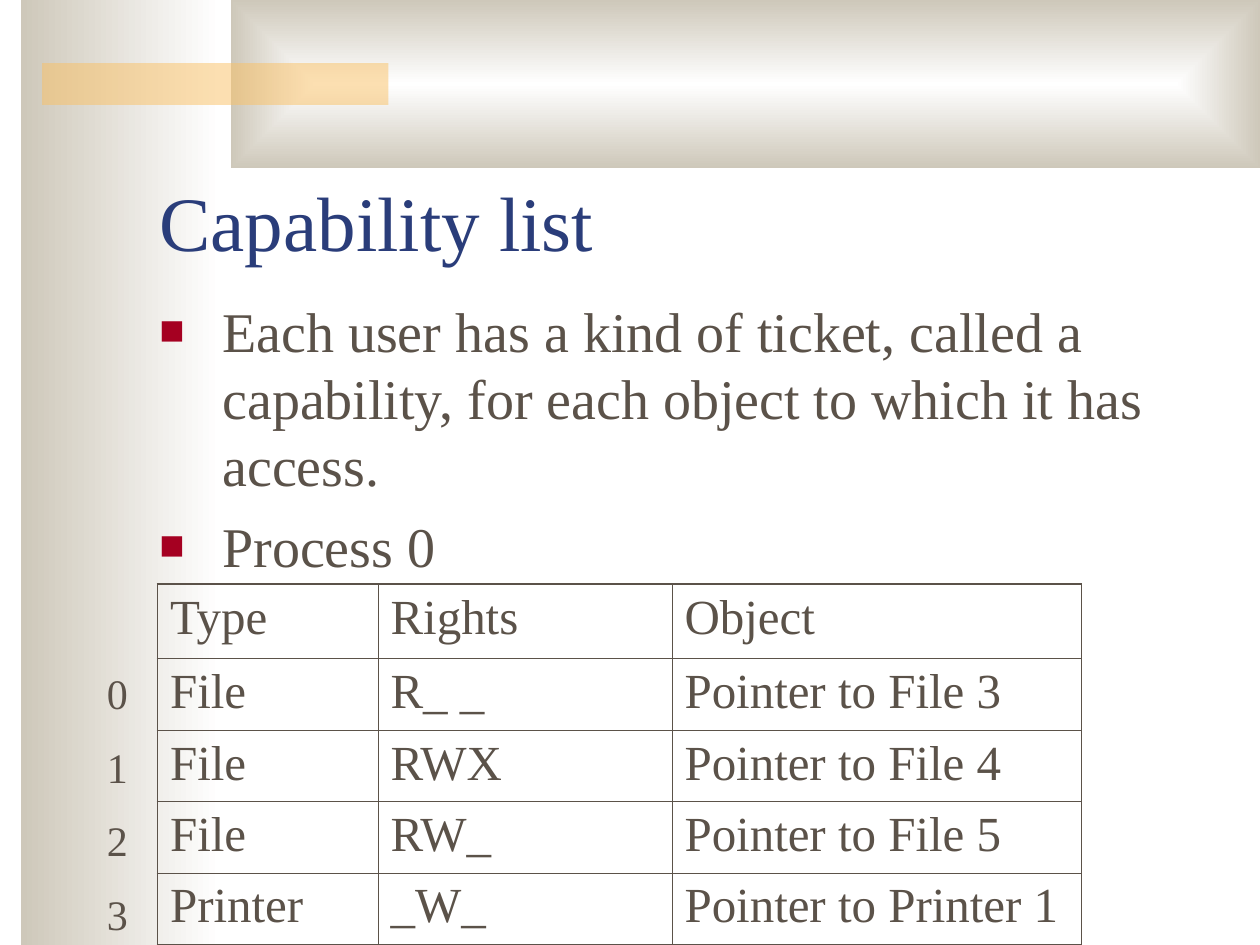
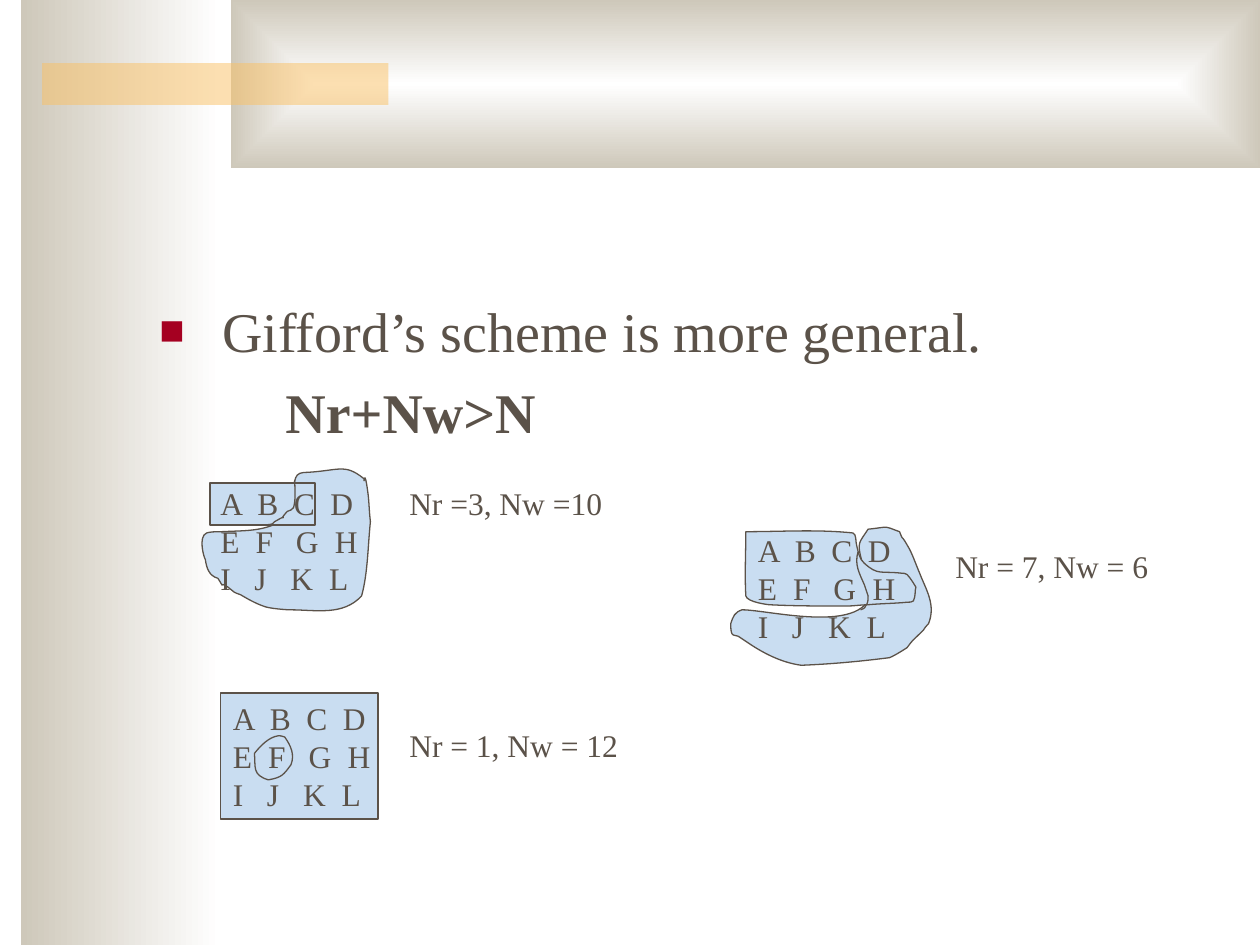
"""Build two slides on capability lists and on Gifford's voting scheme."""
from typing import NamedTuple

from lxml.etree import SubElement as sub
from pptx import Presentation
from pptx.dml.color import RGBColor
from pptx.enum.shapes import MSO_SHAPE as Preset
from pptx.enum.text import MSO_ANCHOR as Anchor, MSO_AUTO_SIZE as AutoSize, PP_ALIGN as Align
from pptx.oxml.ns import qn
from pptx.util import Pt

PX = 3048
OUTLINE_STEP = 3 * PX
FONT = "Times New Roman"
COLORS = {
    "white": "FFFFFF",
    "sand": "CEC8BA",
    "amber": "FAC164",
    "title": "2A3D7A",
    "text": "5B5249",
    "bullet": "A50021",
    "quorum": "C9DDF1",
}


class Area(NamedTuple):
    left: int
    top: int
    width: int
    height: int

    def emu(self) -> list[int]:
        return [value * PX for value in self]


class Para(NamedTuple):
    text: str
    size: int = 18
    bold: bool = False
    bullet: bool = False
    indent: int = 0
    before: int = 0
    tabs: tuple[int, ...] = ()


class Label(NamedTuple):
    area: Area
    paras: tuple[Para, ...]


class Outline(NamedTuple):
    numbers: str
    closed: bool = True
    fill: str | None = None


BODY = Area(350, 691, 2550, 1350)
TITLE = Area(350, 275, 2550, 375)
TABLE = Area(375, 1391, 2200, 857)
COLUMN_WIDTHS = (525, 700, 975)
ROW_HEIGHTS = (177, 170, 170, 170, 170)
CAPABILITIES = (
    ("Type", "Rights", "Object"),
    ("File", "R_ _", "Pointer to File 3"),
    ("File", "RWX", "Pointer to File 4"),
    ("File", "RW_", "Pointer to File 5"),
    ("Printer", "_W_", "Pointer to Printer 1"),
)
CAPABILITY_BODY = (
    Para("Each user has a kind of ticket, called a capability, for each object "
         "to which it has access.", 32, bullet=True),
    Para("Process 0", 32, bullet=True, before=8),
)
SCHEME_BODY = (
    Para("Gifford’s scheme is more general.", 32, bullet=True),
    Para("Nr+Nw>N", 32, bold=True, indent=300, before=8),
)
SERVERS = (
    Para("A\tB\tC\tD", tabs=(88, 175, 262)),
    Para("E\tF\tG\tH", tabs=(84, 180, 273)),
    Para("I\tJ\tK\tL", tabs=(81, 167, 259)),
)
SERVER_GRIDS = [Label(Area(left, top, 387, 300), SERVERS)
                for left, top in ((495, 1137), (525, 1650), (1775, 1250))]
QUORUM_SIZES = [
    Label(Area(945, 1137, 519, 120), (Para("Nr =3, Nw =10"),)),
    Label(Area(2245, 1287, 519, 120), (Para("Nr = 7, Nw = 6"),)),
    Label(Area(945, 1713, 555, 120), (Para("Nr = 1, Nw = 12"),)),
]
ALL_WRITE = Area(525, 1650, 375, 300)
THREE_READ = Area(500, 1150, 250, 100)
SIX_WRITE = Outline(
    "714 422 700 417 708 418 689 420 682 431 680 430 684 445 685 449 691 455 691 455 "
    "704 509 613 484 589 484 583 486 582 489 580 495 580 498 580 501 581 503 "
    "582 505 585 504 586 505 589 507 592 509 595 511 607 519 621 526 636 528 "
    "661 527 682 525 706 522 711 520 720 514 720 514 726 506 722 511 733 500 "
    "734 498 737 495 737 495 743 480 735 468 730 455 727 448 725 442 722 436 "
    "713 420 718 432 714 422", fill="quorum")
SEVEN_READ = Outline(
    "592 422 620 422 649 420 677 423 680 424 679 430 680 433 681 437 682 444 686 447 "
    "697 457 699 453 716 455 717 455 719 455 720 456 723 459 727 466 727 466 "
    "726 469 727 473 725 477 724 478 722 478 720 478 710 479 699 479 689 480 "
    "683 480 678 481 672 481 652 481 631 481 611 480 610 480 593 478 592 473 "
    "591 456 592 439 592 422", fill="quorum")
TEN_WRITE = Outline(
    "289 380 273 367 269 374 241 375 239 376 237 375 236 377 234 379 233 386 233 386 "
    "232 393 232 401 231 408 230 414 227 412 223 414 207 422 195 421 175 422 "
    "171 422 167 422 164 423 157 426 162 443 163 444 164 451 166 457 173 459 "
    "180 470 172 460 181 466 183 467 184 469 186 470 187 471 189 471 191 472 "
    "196 475 203 479 209 481 213 483 228 484 230 484 251 484 272 489 287 473 "
    "292 455 292 433 294 414 293 406 293 398 292 391 289 368 289 387 289 380",
    fill="quorum")
OVERLAP_EDGES = (
    Outline("234 381 234 389 235 396 233 403 232 405 230 405 228 406 218 417 232 406 "
            "220 413 219 413 217 415 216 416 214 416 211 417 211 417", closed=False),
    Outline("681 438 678 448 682 455 686 464 687 467 689 473 689 473 "
            "689 476 689 479 687 481 687 483 683 484 683 484", closed=False),
    Outline("226 585 224 585 222 583 221 584 213 585 206 593 202 598 "
            "203 609 200 615 213 619 224 617 225 615 231 607 234 599 231 592 226 585"),
)


def color(name: str) -> RGBColor:
    return RGBColor.from_string(COLORS[name])


def add_rect(slide, area: Area):
    rect = slide.shapes.add_shape(Preset.RECTANGLE, *area.emu())
    rect.shadow.inherit = False
    rect.line.fill.background()
    return rect


def shade(band) -> None:
    band.fill.gradient()
    band.fill.gradient_angle = 180
    for stop, name in zip(band.fill.gradient_stops, ("white", "sand")):
        stop.color.rgb = color(name)


def add_master_bands(deck, slide) -> None:
    side = add_rect(slide, Area(50, 0, 475, 2250))
    shade(side)
    top = add_rect(slide, Area(550, 0, 2450, 400))
    shade(top)
    gradient = top.element.spPr.find(qn("a:gradFill"))
    gradient.remove(gradient.find(qn("a:lin")))
    centre = sub(gradient, qn("a:path"), {"path": "rect"})
    sub(centre, qn("a:fillToRect"), dict.fromkeys("ltrb", "50000"))
    accent = add_rect(slide, Area(100, 150, 825, 100))
    accent.fill.solid()
    accent.fill.fore_color.rgb = color("amber")
    tint = accent.element.spPr.find(qn("a:solidFill")).find(qn("a:srgbClr"))
    sub(tint, qn("a:alpha"), {"val": "50000"})
    master_tree = deck.slide_master.shapes.element
    for index, band in enumerate((side, top, accent)):
        band.element.nvSpPr.cNvPr.set("id", str(100 + index))
        master_tree.insert(2 + index, band.element)


def style_font(paragraph, size: int, name: str = "text", bold: bool = False) -> None:
    font = paragraph.font
    font.name, font.size, font.bold = FONT, Pt(size), bold
    font.color.rgb = color(name)


def fill_paragraph(paragraph, para: Para) -> None:
    paragraph.text = para.text
    paragraph.space_before = Pt(para.before)
    props = paragraph._p.get_or_add_pPr()
    if para.bullet:
        props.set("marL", str(150 * PX))
        props.set("indent", str(-150 * PX))
        tint = sub(props, qn("a:buClr"))
        sub(tint, qn("a:srgbClr"), {"val": COLORS["bullet"]})
        sub(props, qn("a:buSzPct"), {"val": "75000"})
        sub(props, qn("a:buFont"), {"typeface": FONT})
        sub(props, qn("a:buChar"), {"char": "■"})
    elif para.indent:
        props.set("marL", str(para.indent * PX))
    if para.tabs:
        stops = sub(props, qn("a:tabLst"))
        for position in para.tabs:
            sub(stops, qn("a:tab"), {"pos": str(position * PX), "algn": "l"})
    style_font(paragraph, para.size, bold=para.bold)


def add_label(slide, label: Label) -> None:
    frame = slide.shapes.add_textbox(*label.area.emu()).text_frame
    frame.word_wrap = True
    frame.margin_right = 0
    for index, para in enumerate(label.paras):
        fill_paragraph(frame.add_paragraph() if index else frame.paragraphs[0], para)


def set_title(slide, text: str) -> None:
    title = slide.shapes.title
    title.left, title.top, title.width, title.height = TITLE.emu()
    frame = title.text_frame
    frame.text = text
    frame.auto_size = AutoSize.NONE
    frame.vertical_anchor = Anchor.BOTTOM
    paragraph = frame.paragraphs[0]
    paragraph.alignment = Align.LEFT
    style_font(paragraph, 44, "title")


def set_borders(cell, outer_sides: dict[str, bool]) -> None:
    props = cell._tc.get_or_add_tcPr()
    for side, outer in outer_sides.items():
        width = Pt(1.08 if outer else 0.45)
        border = sub(props, qn(f"a:ln{side}"), {"w": str(width)})
        paint = sub(border, qn("a:solidFill"))
        sub(paint, qn("a:srgbClr"), {"val": COLORS["text"]})


def add_capability_table(slide) -> None:
    last_row, last_column = len(ROW_HEIGHTS) - 1, len(COLUMN_WIDTHS) - 1
    table = slide.shapes.add_table(last_row + 1, last_column + 1, *TABLE.emu()).table
    table.first_row = table.horz_banding = False
    for column, width in zip(table.columns, COLUMN_WIDTHS):
        column.width = width * PX
    for row, height in zip(table.rows, ROW_HEIGHTS):
        row.height = height * PX
    for r, texts in enumerate(CAPABILITIES):
        for c, text in enumerate(texts):
            cell = table.cell(r, c)
            set_borders(cell, {"L": c == 0, "R": c == last_column,
                               "T": r == 0, "B": r == last_row})
            cell.fill.background()
            fill_paragraph(cell.text_frame.paragraphs[0], Para(text, 28))


def paint_region(shape, fill: str | None) -> None:
    shape.shadow.inherit = False
    if fill:
        shape.fill.solid()
        shape.fill.fore_color.rgb = color(fill)
    else:
        shape.fill.background()
    shape.line.color.rgb = color("text")
    shape.line.width = Pt(0.75)


def curve_segments(shape) -> None:
    segments = list(shape.element.iter(qn("a:lnTo")))
    for first in range(0, len(segments), 3):
        curve = segments[first].makeelement(qn("a:cubicBezTo"))
        segments[first].addprevious(curve)
        for segment in segments[first:first + 3]:
            curve.append(segment[0])
            segment.getparent().remove(segment)


def add_outline(slide, outline: Outline) -> None:
    values = [int(number) * OUTLINE_STEP for number in outline.numbers.split()]
    start, *points = zip(values[::2], values[1::2])
    builder = slide.shapes.build_freeform(*start)
    builder.add_line_segments(points, close=outline.closed)
    shape = builder.convert_to_shape()
    curve_segments(shape)
    paint_region(shape, outline.fill)


def build_capability_slide(slide) -> None:
    set_title(slide, "Capability list")
    add_label(slide, Label(BODY, CAPABILITY_BODY))
    add_capability_table(slide)
    for index in range(4):
        area = Area(225, 1575 + 175 * index, 108, 150)
        add_label(slide, Label(area, (Para(str(index), 24),)))


def build_scheme_slide(slide) -> None:
    paint_region(add_rect(slide, ALL_WRITE), "quorum")
    for outline in (SIX_WRITE, SEVEN_READ, TEN_WRITE):
        add_outline(slide, outline)
    paint_region(add_rect(slide, THREE_READ), "quorum")
    for label in (Label(BODY, SCHEME_BODY), *SERVER_GRIDS):
        add_label(slide, label)
    for outline in OVERLAP_EDGES:
        add_outline(slide, outline)
    for label in QUORUM_SIZES:
        add_label(slide, label)


def main() -> None:
    deck = Presentation()
    deck.slide_width, deck.slide_height = 3000 * PX, 2250 * PX
    title_only, blank = deck.slide_layouts[5], deck.slide_layouts[6]
    capability_slide = deck.slides.add_slide(title_only)
    add_master_bands(deck, capability_slide)
    build_capability_slide(capability_slide)
    build_scheme_slide(deck.slides.add_slide(blank))
    deck.save("out.pptx")


if __name__ == "__main__":
    main()
